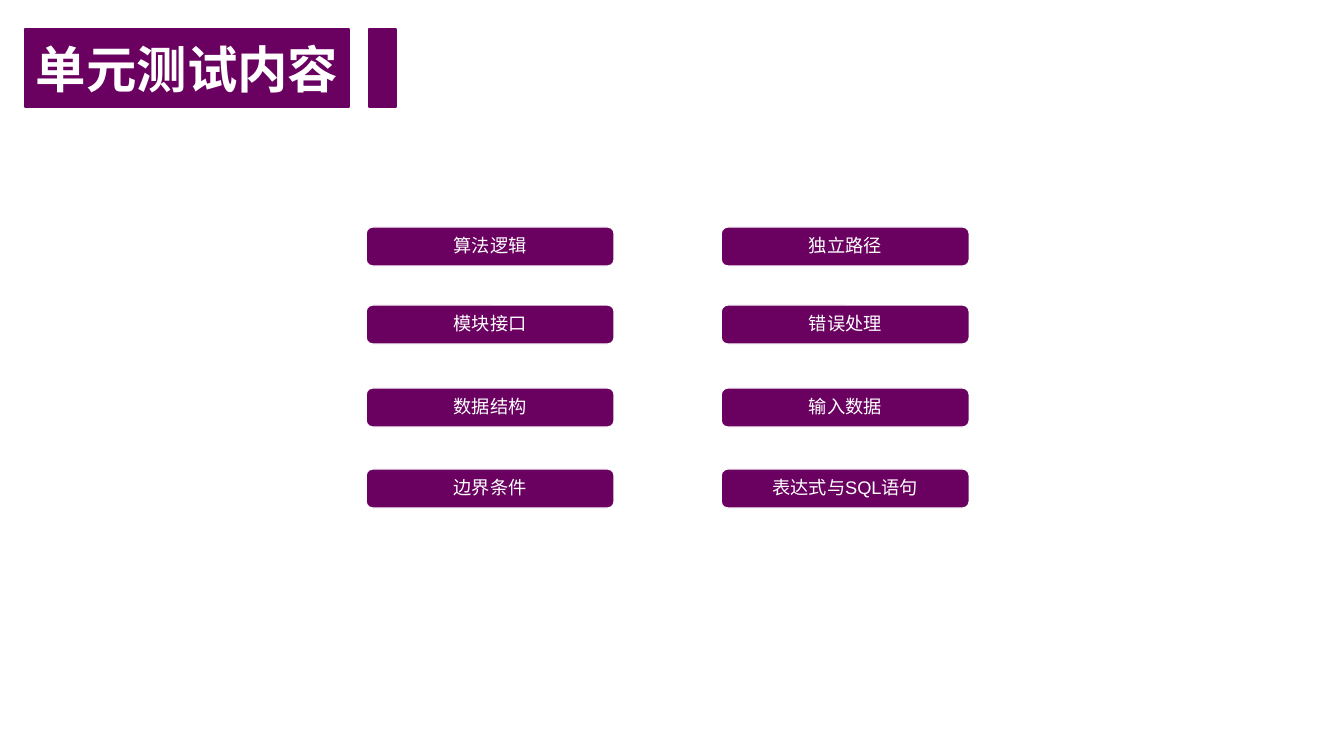
from pptx import Presentation
from pptx import util as u
from pptx.dml.color import RGBColor
from pptx.enum import shapes, text

PURPLE = RGBColor(0x6A, 0x01, 0x60)
WHITE = RGBColor(0xFF, 0xFF, 0xFF)
FONT = "Arial"

COLUMNS = [
    (366, ["算法逻辑", "模块接口", "数据结构", "边界条件"]),
    (721, ["独立路径", "错误处理", "输入数据", "表达式与SQL语句"]),
]
ROW_TOPS = [227, 305, 388, 469]
ITEM_WIDTH, ITEM_HEIGHT = 248, 39
TITLE_TOP, TITLE_HEIGHT = 29, 78


def px(length):
    return u.Emu(round(length * 914400 / 100.8))


def add_block(slide, kind, left, top, width, height, line_color):
    shape = slide.shapes.add_shape(kind, px(left), px(top), px(width), px(height))
    shape.shadow.inherit = False
    shape.fill.solid()
    shape.fill.fore_color.rgb = PURPLE
    shape.line.color.rgb = line_color
    shape.line.width = u.Pt(1)
    return shape


def add_label(shape, words, size, inset_x, inset_y, bold=False):
    frame = shape.text_frame
    frame.word_wrap = True
    frame.vertical_anchor = text.MSO_ANCHOR.MIDDLE
    frame.margin_left = frame.margin_right = px(inset_x)
    frame.margin_top = frame.margin_bottom = px(inset_y)
    paragraph = frame.paragraphs[0]
    paragraph.alignment = text.PP_ALIGN.CENTER
    run = paragraph.add_run()
    run.text = words
    run.font.name = FONT
    run.font.size = u.Pt(size)
    run.font.bold = bold
    run.font.color.rgb = WHITE
    return paragraph


def add_title(slide, words):
    rectangle = shapes.MSO_SHAPE.RECTANGLE
    banner = add_block(slide, rectangle, 25, TITLE_TOP, 324, TITLE_HEIGHT, PURPLE)
    add_label(banner, words, 36, 7, 4, bold=True)
    add_block(slide, rectangle, 369, TITLE_TOP, 27, TITLE_HEIGHT, PURPLE)


def add_item(slide, left, top, words):
    item = add_block(slide, shapes.MSO_SHAPE.ROUNDED_RECTANGLE,
                     left, top, ITEM_WIDTH, ITEM_HEIGHT, WHITE)
    paragraph = add_label(item, words, 13, 5, 3)
    paragraph.line_spacing = 0.9


def main():
    presentation = Presentation()
    presentation.slide_width = u.Inches(13.33)
    presentation.slide_height = u.Inches(7.5)
    slide = presentation.slides.add_slide(presentation.slide_layouts[6])

    # Title banner with its accent bar
    add_title(slide, "单元测试内容")

    # Two columns of test topics
    for left, topics in COLUMNS:
        for top, topic in zip(ROW_TOPS, topics):
            add_item(slide, left, top, topic)

    presentation.save("out.pptx")


if __name__ == "__main__":
    main()
